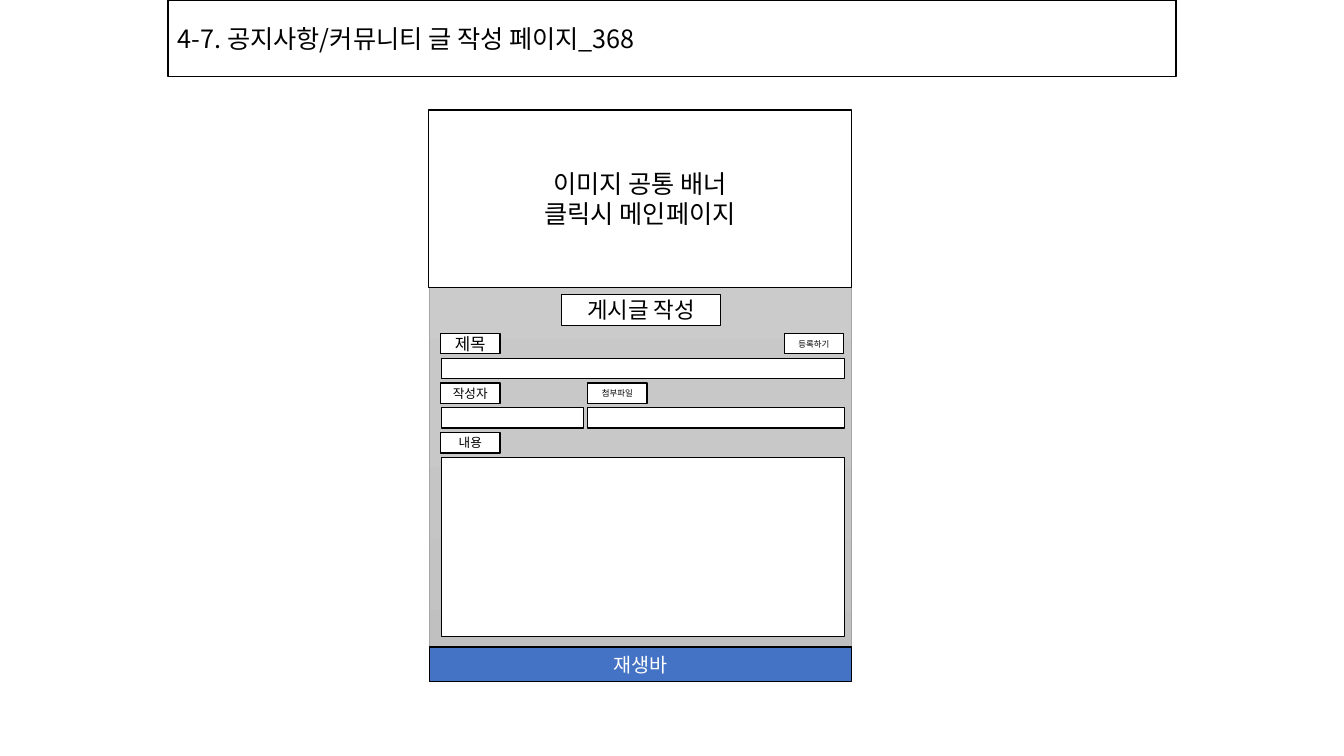
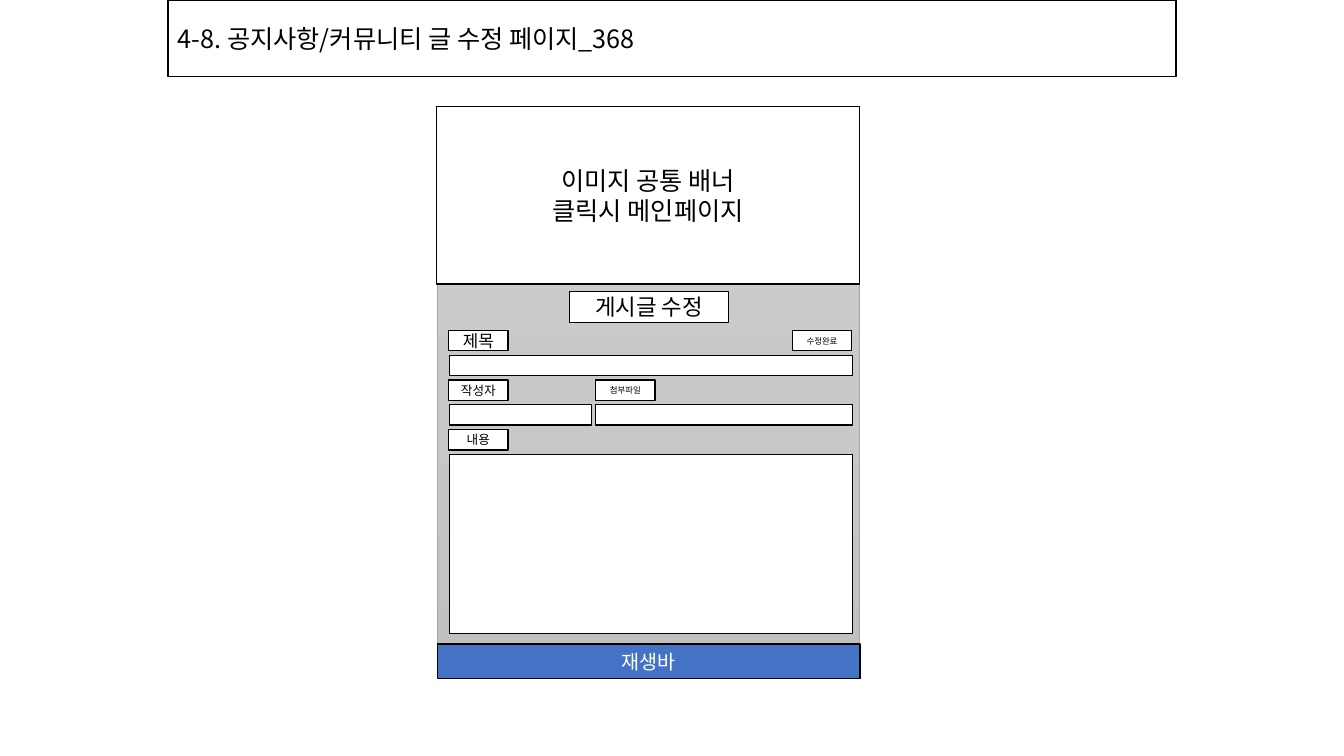
from copy import deepcopy

from lxml import etree
from pptx import Presentation
from pptx.dml.color import RGBColor
from pptx.enum.shapes import MSO_SHAPE
from pptx.enum.text import MSO_ANCHOR, PP_ALIGN
from pptx.oxml.ns import qn
from pptx.util import Pt

RECTANGLE = MSO_SHAPE.RECTANGLE
MIDDLE = MSO_ANCHOR.MIDDLE
LEFT, CENTER = PP_ALIGN.LEFT, PP_ALIGN.CENTER

FONT = "Noto Sans CJK KR"
COLORS = {
    "ink": "000000",
    "paper": "FFFFFF",
    "bar": "4472C4",
    "panel_line": "A5A5A5",
    "panel_top": "D2D2D2",
    "panel_middle": "C8C8C8",
    "panel_bottom": "C0C0C0",
}

PANEL_WIDTH, PANEL_HEIGHT = 301.68, 407.52
BAR_HEIGHT = 24.48
LABEL_WIDTH, ROW_HEIGHT = 42.48, 14.4
LABEL_X, FIELD_X, ATTACH_X = 7.92, 8.64, 113.04
FIELD_WIDTH = 288
FIRST_LABEL_Y, ROW_STEP, LABEL_TO_FIELD = 159.12, 35.4, 17.6

PAGES = [
    {"title": "4-7. 공지사항/커뮤니티 글 작성 페이지_368", "heading": "게시글 작성",
     "button": "등록하기", "origin": (306.72, 79.2)},
    {"title": "4-8. 공지사항/커뮤니티 글 수정 페이지_368", "heading": "게시글 수정",
     "button": "수정완료", "origin": (312.48, 77.04)},
]


def color(name):
    return RGBColor.from_string(COLORS[name])


def add_box(page, left, top, width, height, lines=(), size=9, fill="paper",
            ink="ink", align=CENTER):
    """Draw an outlined rectangle with one paragraph per line of text."""
    box = page.shapes.add_shape(RECTANGLE, Pt(left), Pt(top), Pt(width), Pt(height))
    box.shadow.inherit = False
    box.line.color.rgb = color("ink")
    box.line.width = Pt(1)
    if fill:
        box.fill.solid()
        box.fill.fore_color.rgb = color(fill)
    else:
        box.fill.background()
    frame = box.text_frame
    frame.word_wrap = True
    frame.vertical_anchor = MIDDLE
    for index, line in enumerate(lines):
        para = frame.add_paragraph() if index else frame.paragraphs[0]
        para.alignment = align
        span = para.add_run()
        span.text = line
        span.font.size = Pt(size)
        span.font.color.rgb = color(ink)
        span.font.name = FONT
        east_asian = etree.SubElement(span.font._element, qn("a:ea"))
        east_asian.set("typeface", FONT)
    return box


deck = Presentation()
deck.slide_width, deck.slide_height = Pt(960), Pt(540)
blank = deck.slide_layouts[6]

for content in PAGES:
    page = deck.slides.add_slide(blank)
    x, y = content["origin"]
    add_box(page, 120, 0, 720, 54.72, [content["title"]], 18, fill=None, align=LEFT)

    panel = add_box(page, x, y, PANEL_WIDTH, PANEL_HEIGHT)
    panel.line.color.rgb = color("panel_line")
    panel.line.width = Pt(0.5)
    panel.fill.gradient()
    panel.fill.gradient_angle = 270
    first_stop = panel.element.find(".//" + qn("a:gs"))
    first_stop.addnext(deepcopy(first_stop))
    shades = ("panel_top", "panel_middle", "panel_bottom")
    for index, (stop, shade) in enumerate(zip(panel.fill.gradient_stops, shades)):
        stop.position = index / 2
        stop.color.rgb = color(shade)

    add_box(page, x - 0.72, y - 0.72, 302.4, 126.72,
            ["이미지 공통 배너", "클릭시 메인페이지"], 18)
    add_box(page, x, y + PANEL_HEIGHT - BAR_HEIGHT, PANEL_WIDTH, BAR_HEIGHT,
            ["재생바"], 14, fill="bar", ink="paper")
    add_box(page, x + 94.32, y + 131.04, 113.76, 22.32, [content["heading"]], 16)

    # Each row: labels (text, size, left), then fields (left, width, height)
    rows = [
        ([("제목", 12, LABEL_X), (content["button"], 6, 253.44)],
         [(FIELD_X, FIELD_WIDTH, ROW_HEIGHT)]),
        ([("작성자", 9, LABEL_X), ("첨부파일", 6, ATTACH_X)],
         [(FIELD_X, 101.52, ROW_HEIGHT),
          (ATTACH_X, FIELD_X + FIELD_WIDTH - ATTACH_X, ROW_HEIGHT)]),
        ([("내용", 9, LABEL_X)], [(FIELD_X, FIELD_WIDTH, 128.16)]),
    ]
    for index, (labels, fields) in enumerate(rows):
        label_y = y + FIRST_LABEL_Y + index * ROW_STEP
        for text, size, left in labels:
            add_box(page, x + left, label_y, LABEL_WIDTH, ROW_HEIGHT, [text], size)
        for left, width, height in fields:
            add_box(page, x + left, label_y + LABEL_TO_FIELD, width, height)

deck.save("out.pptx")
